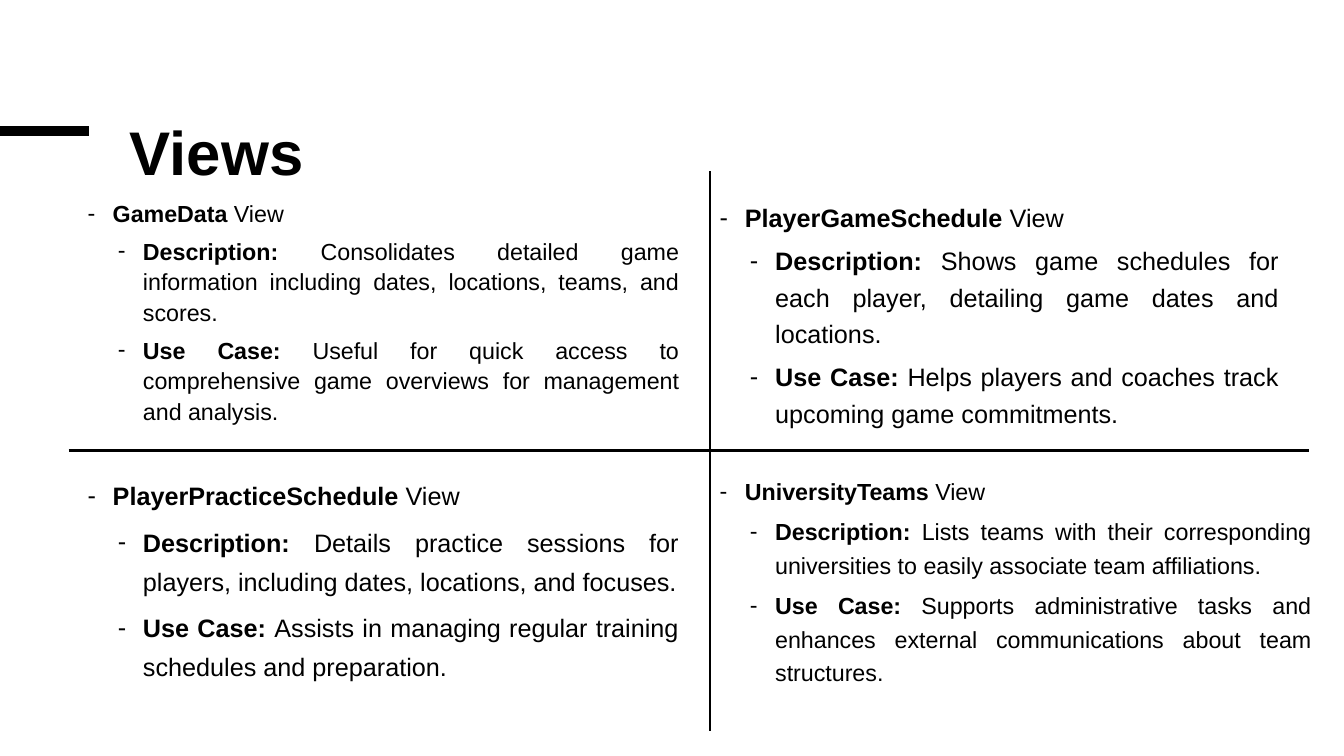
import pptx
import pptx.dml.color
import pptx.enum.shapes
import pptx.enum.text
import pptx.oxml.ns
import pptx.util
import lxml.etree

PX = 9144
FONT = "Arial"
COLORS = {"ink": "000000", "paper": "FFFFFF"}
LEFT, RIGHT = 77, 704
UPPER, LOWER = 190, 463

VIEWS = [
    ((LEFT, UPPER, 606, 254), 16.6, 1.1, "GameData",
     "Consolidates detailed game information including dates, locations, teams, and scores.",
     "Useful for quick access to comprehensive game overviews for management and analysis."),
    ((RIGHT, UPPER, 574, 254), 18, 1.2, "PlayerGameSchedule",
     "Shows game schedules for each player, detailing game dates and locations.",
     "Helps players and coaches track upcoming game commitments."),
    ((LEFT, LOWER, 606, 274), 18, 1.3, "PlayerPracticeSchedule",
     "Details practice sessions for players, including dates, locations, and focuses.",
     "Assists in managing regular training schedules and preparation."),
    ((RIGHT, LOWER, 606, 274), 16.6, 1.2, "UniversityTeams",
     "Lists teams with their corresponding universities to easily associate team affiliations.",
     "Supports administrative tasks and enhances external communications about team structures."),
]


def px(length):
    return pptx.util.Emu(length * PX)


def color(name):
    return pptx.dml.color.RGBColor.from_string(COLORS[name])


def add_rule(slide, start, end, weight):
    rule = slide.shapes.add_connector(
        pptx.enum.shapes.MSO_CONNECTOR.STRAIGHT, *map(px, start + end))
    rule.line.color.rgb = color("ink")
    rule.line.width = pptx.util.Pt(weight)
    lxml.etree.SubElement(rule._element.spPr, pptx.oxml.ns.qn("a:effectLst"))


def add_text_frame(slide, box):
    frame = slide.shapes.add_textbox(*map(px, box)).text_frame
    frame.word_wrap = True
    return frame


def add_run(paragraph, text, size, bold):
    run = paragraph.add_run()
    run.text = text
    run.font.name = FONT
    run.font.size = pptx.util.Pt(size)
    run.font.bold = bold
    run.font.color.rgb = color("ink")


def set_dash(paragraph, indent):
    properties = paragraph._p.get_or_add_pPr()
    properties.set("marL", str(px(indent)))
    properties.set("indent", str(px(-25)))
    font = lxml.etree.SubElement(properties, pptx.oxml.ns.qn("a:buFont"))
    font.set("typeface", FONT)
    dash = lxml.etree.SubElement(properties, pptx.oxml.ns.qn("a:buChar"))
    dash.set("char", "-")


def add_title(slide, title):
    paragraph = add_text_frame(slide, (119, 119, 1085, 142)).paragraphs[0]
    paragraph.line_spacing = 0.85
    add_run(paragraph, title, 44, True)


def add_view(slide, box, size, spacing, name, description, use_case):
    frame = add_text_frame(slide, box)
    entries = [
        (0, name, " View"),
        (1, "Description: ", description),
        (1, "Use Case: ", use_case),
    ]
    for index, (level, label, detail) in enumerate(entries):
        paragraph = frame.add_paragraph() if index else frame.paragraphs[0]
        paragraph.level = level
        paragraph.alignment = pptx.enum.text.PP_ALIGN.JUSTIFY
        paragraph.line_spacing = spacing
        paragraph.space_before = pptx.util.Pt(5 if level else 10)
        set_dash(paragraph, 25 + 30 * level)
        add_run(paragraph, label, size, True)
        add_run(paragraph, detail, size, False)


def main():
    deck = pptx.Presentation()
    deck.slide_width, deck.slide_height = px(1333), px(750)
    slide = deck.slides.add_slide(deck.slide_layouts[6])
    slide.background.fill.solid()
    slide.background.fill.fore_color.rgb = color("paper")

    add_rule(slide, (0, 130), (88, 130), 6.75)
    add_title(slide, "Views")
    for view in VIEWS:
        add_view(slide, *view)
    add_rule(slide, (RIGHT, 170), (RIGHT, 725), 1.5)
    add_rule(slide, (68, 447), (1298, 447), 1.5)
    deck.save("out.pptx")


if __name__ == "__main__":
    main()
